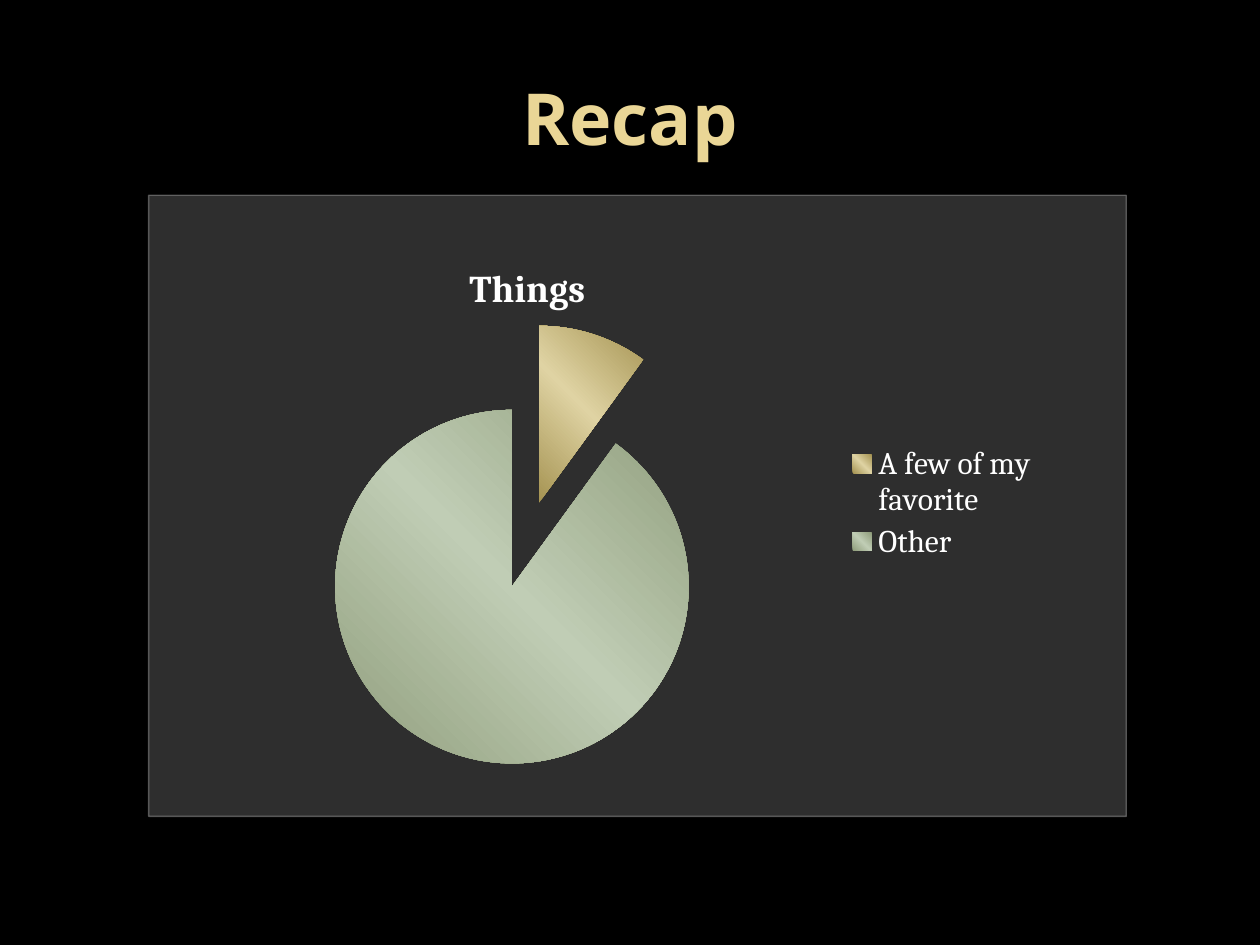
import copy

import pptx
import pptx.chart.data
import pptx.dml.color
import pptx.enum.chart
import pptx.enum.shapes
import pptx.enum.text
import pptx.oxml
import pptx.oxml.ns
import pptx.util
from pptx.util import Inches

RGBColor = pptx.dml.color.RGBColor
BLACK = RGBColor(0x00, 0x00, 0x00)
WHITE = RGBColor(0xFF, 0xFF, 0xFF)
TITLE_GOLD = RGBColor(0xEA, 0xD6, 0x96)
GOLD_EDGE = RGBColor(0xA6, 0x94, 0x53)
GOLD_MID = RGBColor(0xDF, 0xD3, 0xA3)
GREEN_EDGE = RGBColor(0x8F, 0x9D, 0x7B)
GREEN_MID = RGBColor(0xC0, 0xCD, 0xB5)
HEADING_FONT = "Noto Sans"
BODY_FONT = "Cambria"
SLICES = [
    ("A few of my favorite", 10, GOLD_EDGE, GOLD_MID),
    ("Other", 90, GREEN_EDGE, GREEN_MID),
]
EXPLOSION = 25


def write_text(tf, text, *, size, font, color, bold=False):
    """Put one formatted, centred line of text in a text frame."""
    p = tf.paragraphs[0]
    p.alignment = pptx.enum.text.PP_ALIGN.CENTER
    r = p.add_run()
    r.text = text
    r.font.size = pptx.util.Pt(size)
    r.font.name = font
    r.font.bold = bold
    r.font.color.rgb = color


def set_alpha(fill_parent, percent):
    """Make the solid colour inside an element partly transparent."""
    color = next(fill_parent.iter(pptx.oxml.ns.qn("a:srgbClr")))
    alpha = color.makeelement(pptx.oxml.ns.qn("a:alpha"), {"val": str(percent * 1000)})
    color.append(alpha)


def set_layout(element, index, **fractions):
    """Place a chart part by fractions of the chart's size."""
    for old in element.findall(pptx.oxml.ns.qn("c:layout")):
        element.remove(old)
    modes = "".join(f'<c:{k}Mode val="edge"/>' for k in "xy")
    values = "".join(f'<c:{k} val="{v}"/>' for k, v in fractions.items())
    target = '<c:layoutTarget val="inner"/>' if index == 0 else ""
    element.insert(index, pptx.oxml.parse_xml(
        f'<c:layout {pptx.oxml.ns.nsdecls("c")}><c:manualLayout>'
        f"{target}{modes}{values}</c:manualLayout></c:layout>"))


def add_title(slide, box):
    """Format the slide title in its box."""
    sp = slide.shapes.title
    sp.left, sp.top, sp.width, sp.height = box
    tf = sp.text_frame
    tf.vertical_anchor = pptx.enum.text.MSO_ANCHOR.MIDDLE
    write_text(tf, "Recap", size=41, font=HEADING_FONT, color=TITLE_GOLD, bold=True)


def add_panel(slide, box):
    """Draw the translucent panel behind the chart."""
    sp = slide.shapes.add_shape(pptx.enum.shapes.MSO_SHAPE.RECTANGLE, *box)
    sp.shadow.inherit = False
    sp.fill.solid()
    sp.fill.fore_color.rgb = WHITE
    sp.line.color.rgb = WHITE
    sp.line.width = pptx.util.Pt(0.75)
    set_alpha(sp._element.spPr, 18)
    set_alpha(sp._element.spPr.ln, 30)


def color_slices(series):
    """Give every slice a diagonal sheen and pull the slices apart."""
    ser = series._element
    for i, (_, _, edge, middle) in enumerate(SLICES):
        fill = series.points[i].format.fill
        fill.gradient()
        fill.gradient_angle = 45
        stops = list(ser.iter(pptx.oxml.ns.qn("a:gsLst")))[i]
        stops.append(copy.deepcopy(stops[0]))
        for stop, position, color in zip(
                fill.gradient_stops, (0, 0.5, 1), (edge, middle, edge)):
            stop.position = position
            stop.color.rgb = color
    explosion = ser.makeelement(
        pptx.oxml.ns.qn("c:explosion"), {"val": str(EXPLOSION)})
    ser.find(pptx.oxml.ns.qn("c:dPt")).addprevious(explosion)


def add_pie(slide, box):
    """Add the exploded pie chart with its title and legend."""
    data = pptx.chart.data.CategoryChartData()
    data.categories = [name for name, *_ in SLICES]
    data.add_series("Things", [value for _, value, *_ in SLICES])
    chart = slide.shapes.add_chart(
        pptx.enum.chart.XL_CHART_TYPE.PIE, *box, data).chart
    chart.font.size = pptx.util.Pt(18)
    chart.font.name = BODY_FONT
    chart.font.color.rgb = WHITE
    chart.has_title = True
    title = chart.chart_title
    write_text(title.text_frame, "Things", size=21.6, font=BODY_FONT,
               color=WHITE, bold=True)
    title.include_in_layout = False
    chart.has_legend = True
    legend = chart.legend
    legend.position = pptx.enum.chart.XL_LEGEND_POSITION.RIGHT
    legend.include_in_layout = False
    plot = chart.plots[0]
    plot.vary_by_categories = True
    color_slices(plot.series[0])
    set_layout(title._element, 1, x=0.3, y=0.06)
    set_layout(legend._element, 1, x=0.75, y=0.39, w=0.24, h=0.22)
    set_layout(plot._element.getparent(), 0, x=0.11, y=0.18, w=0.53, h=0.79)


def main():
    """Build and save the recap slide."""
    prs = pptx.Presentation()
    prs.slide_width, prs.slide_height = Inches(10), Inches(7.5)
    slide = prs.slides.add_slide(prs.slide_layouts[5])
    slide.background.fill.solid()
    slide.background.fill.fore_color.rgb = BLACK
    add_title(slide, [Inches(v) for v in (0.5, 0.3, 9, 1.25)])
    add_panel(slide, [Inches(v) for v in (1.18, 1.55, 7.76, 4.93)])
    add_pie(slide, [Inches(v) for v in (1.67, 1.77, 6.67, 4.44)])
    prs.save("out.pptx")


if __name__ == "__main__":
    main()
